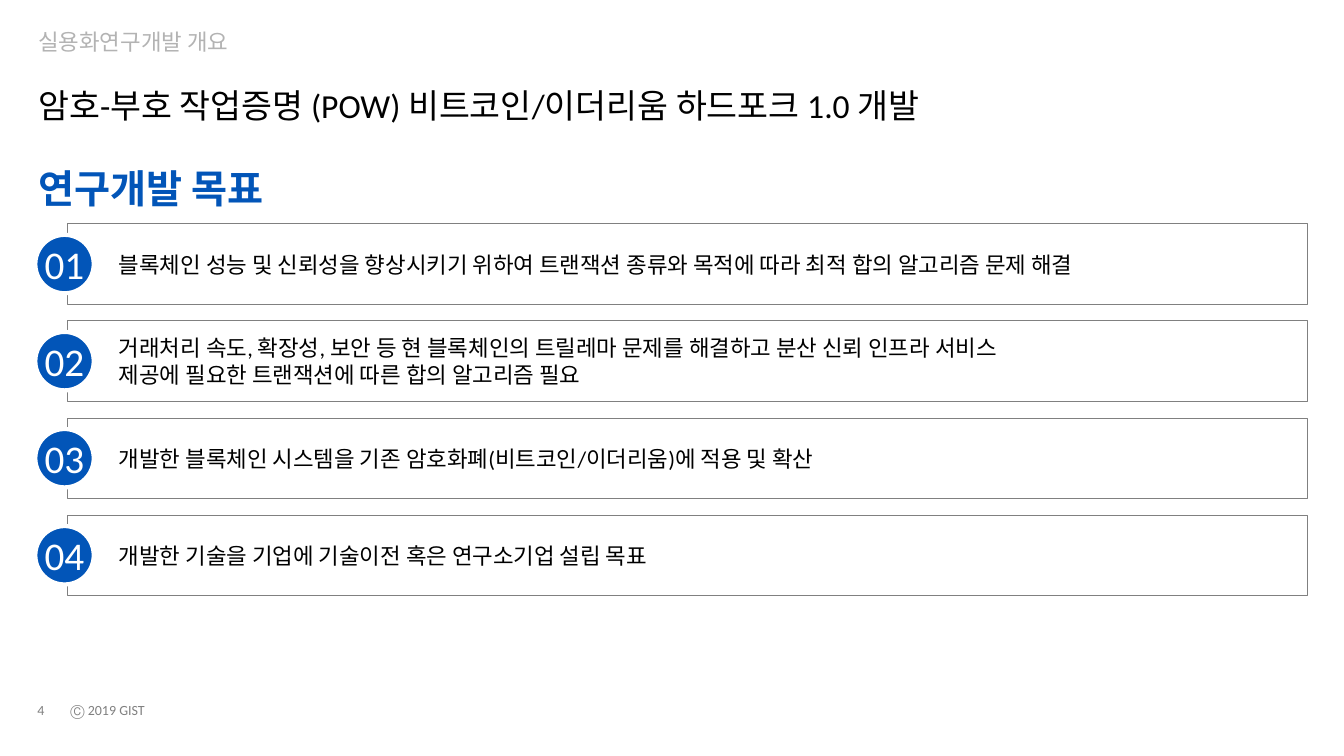
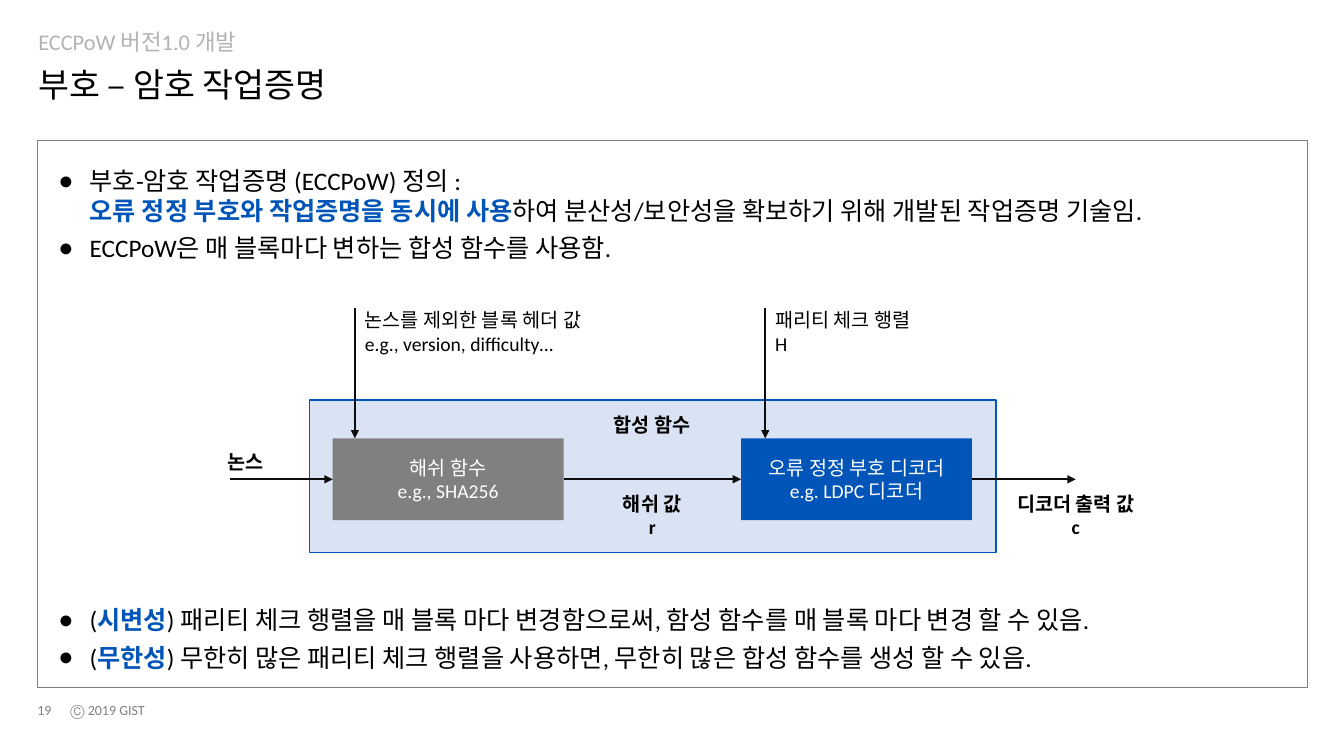
from copy import deepcopy

from pptx import Presentation
from pptx.dml.color import RGBColor
from pptx.enum.shapes import MSO_CONNECTOR as CONNECTOR, MSO_SHAPE as SHAPE
from pptx.enum.text import MSO_ANCHOR as ANCHOR, MSO_AUTO_SIZE as AUTO_SIZE, PP_ALIGN as ALIGN
from pptx.oxml.ns import qn
from pptx.util import Inches, Pt

# Shared style
FONT = "Calibri"
BLUE = RGBColor(0x02, 0x55, 0xB8)
PALE_BLUE = RGBColor(0xDA, 0xE3, 0xF3)
GRAY = RGBColor(0x80, 0x80, 0x80)
LIGHT_GRAY = RGBColor(0xB3, 0xB3, 0xB3)
BLACK = RGBColor(0, 0, 0)
ARROW_COLOR = RGBColor(0x0D, 0x0D, 0x0D)
WHITE = RGBColor(0xFF, 0xFF, 0xFF)
COPYRIGHT = "Ⓒ 2019 GIST"
INSETS = (0.1, 0.05, 0.1, 0.05)
TITLE_LEFT, CONTENT_WIDTH = 0.38, 12.6

# Content: research goals
GOALS_HEADING = "연구개발 목표"
GOALS = [
    "블록체인 성능 및 신뢰성을 향상시키기 위하여 트랜잭션 종류와 목적에 따라 최적 합의 알고리즘 문제 해결",
    "거래처리 속도, 확장성, 보안 등 현 블록체인의 트릴레마 문제를 해결하고 분산 신뢰 인프라 서비스\n"
    "제공에 필요한 트랜잭션에 따른 합의 알고리즘 필요",
    "개발한 블록체인 시스템을 기존 암호화폐(비트코인/이더리움)에 적용 및 확산",
    "개발한 기술을 기업에 기술이전 혹은 연구소기업 설립 목표",
]

# Content: proof of work; each point is a list of (text, emphasized) and its space before
POINTS = [
    ([("부호-암호 작업증명 (ECCPoW) 정의 :\n", False),
      ("오류 정정 부호와 작업증명을 동시에 사용", True),
      ("하여 분산성/보안성을 확보하기 위해 개발된 작업증명 기술임.", False)], 0),
    ([("ECCPoW은 매 블록마다 변하는 합성 함수를 사용함.", False)], 5),
    ([("(", False), ("시변성", True),
      (") 패리티 체크 행렬을 매 블록 마다 변경함으로써, 함성 함수를 매 블록 마다 변경 할 수 있음.", False)], 244),
    ([("(", False), ("무한성", True),
      (") 무한히 많은 패리티 체크 행렬을 사용하면, 무한히 많은 합성 함수를 생성 할 수 있음.", False)], 5),
]
HASH_TEXT = "해쉬 함수\ne.g., SHA256"
DECODER_TEXT = "오류 정정 부호 디코더\ne.g. LDPC 디코더"
# Text, box, bold, alignment
DIAGRAM_LABELS = [
    ("논스를 제외한 블록 헤더 값\ne.g., version, difficulty…", (3.52, 3.01, 2.6, 0.55), False, ALIGN.LEFT),
    ("패리티 체크 행렬\nH", (7.59, 3.01, 1.76, 0.55), False, ALIGN.LEFT),
    ("논스", (2.16, 4.41, 0.8, 0.32), True, ALIGN.LEFT),
    ("합성 함수", (5.87, 4.05, 1.2, 0.32), True, ALIGN.CENTER),
    ("해쉬 값\nr", (5.87, 4.83, 1.2, 0.55), True, ALIGN.CENTER),
    ("디코더 출력 값\nc", (9.87, 4.83, 1.6, 0.55), True, ALIGN.CENTER),
]
INPUT_ARROWS = [3.52, 7.59]


def place(target, box):
    target.left, target.top, target.width, target.height = map(Inches, box)


def format_frame(frame, insets=INSETS, anchor=ANCHOR.TOP):
    sides = ("margin_left", "margin_top", "margin_right", "margin_bottom")
    settings = dict(zip(sides, map(Inches, insets)))
    settings.update(word_wrap=True, auto_size=AUTO_SIZE.NONE, vertical_anchor=anchor)
    for key, value in settings.items():
        setattr(frame, key, value)


def add_run(paragraph, text, size, color, bold=False):
    for number, line in enumerate(text.split("\n")):
        if number:
            paragraph.add_line_break()
        if line:
            run = paragraph.add_run()
            run.text = line
            for key, value in dict(name=FONT, size=Pt(size), bold=bold).items():
                setattr(run.font, key, value)
            run.font.color.rgb = color


def match_breaks(paragraph):
    """Give line breaks the character size of the first run."""
    for line_break in paragraph._p.findall(qn("a:br")):
        line_break.append(deepcopy(paragraph.runs[0]._r.rPr))


def write(target, text, size, color, bold=False, align=ALIGN.LEFT, spacing=1.0, **frame_format):
    format_frame(target.text_frame, **frame_format)
    paragraph = target.text_frame.paragraphs[0]
    settings = dict(alignment=align, line_spacing=spacing, space_before=Pt(0))
    for key, value in settings.items():
        setattr(paragraph, key, value)
    add_run(paragraph, text, size, color, bold)
    match_breaks(paragraph)


def add_label(slide, box, *text_format, **options):
    write(slide.shapes.add_textbox(*map(Inches, box)), *text_format, **options)


def add_block(slide, kind, box, fill=None, line=None, weight=0.5):
    block = slide.shapes.add_shape(kind, *map(Inches, box))
    block.shadow.inherit = False
    if fill is None:
        block.fill.background()
    else:
        block.fill.solid()
        block.fill.fore_color.rgb = fill
    if line is None:
        block.line.fill.background()
    else:
        block.line.color.rgb = line
        block.line.width = Pt(weight)
    return block


def add_arrow(slide, start, end, source=None, target=None):
    arrow = slide.shapes.add_connector(CONNECTOR.STRAIGHT, *map(Inches, start + end))
    if source is not None:
        arrow.begin_connect(source, 3)
    if target is not None:
        arrow.end_connect(target, 1)
    arrow.line.color.rgb = ARROW_COLOR
    arrow.line.width = Pt(1.5)
    outline = arrow.line._get_or_add_ln()
    outline.append(outline.makeelement(qn("a:tailEnd"), {"type": "triangle"}))
    properties = arrow._element.spPr
    properties.append(properties.makeelement(qn("a:effectLst"), {}))


def add_page(prs, layout, number, section, title, title_top):
    """Section line, title, page number and copyright line."""
    slide = prs.slides.add_slide(prs.slide_layouts[layout])
    place(slide.shapes.title, (TITLE_LEFT, title_top, CONTENT_WIDTH, 0.46))
    write(slide.shapes.title, title, 24, BLACK, spacing=0.9, insets=(0, 0.05, 0.1, 0.05))
    section_line = slide.placeholders[1]
    place(section_line, (TITLE_LEFT, 0.26, CONTENT_WIDTH, 0.34))
    paragraph = section_line.text_frame.paragraphs[0]
    add_bullet(paragraph, None)
    write(section_line, section, 16, LIGHT_GRAY, spacing=0.9,
          insets=(0, 0.05, 0.08, 0.05), anchor=ANCHOR.BOTTOM)
    add_label(slide, (0.6, 6.91, 1.2, 0.27), COPYRIGHT, 10, GRAY, anchor=ANCHOR.MIDDLE)
    add_label(slide, (0.37, 6.92, 0.39, 0.24), str(number), 10, GRAY,
              insets=(0, 0, 0, 0), anchor=ANCHOR.MIDDLE)
    return slide


def add_bullet(paragraph, mark, indent=0):
    properties = paragraph._p.get_or_add_pPr()
    properties.set("marL", str(Inches(indent)))
    properties.set("indent", str(-Inches(indent)))
    tag, values = ("a:buChar", {"char": mark}) if mark else ("a:buNone", {})
    properties.append(properties.makeelement(qn(tag), values))


def build_goals(prs):
    slide = add_page(prs, 1, 4, "실용화연구개발 개요",
                     "암호-부호 작업증명 (POW) 비트코인/이더리움 하드포크 1.0 개발", 0.84)
    add_label(slide, (0.28, 1.58, 3, 0.57), GOALS_HEADING, 28, BLUE, bold=True)
    first_top, pitch, height, circle = 2.22, 0.963, 0.8, 0.58
    for index, goal in enumerate(GOALS):
        top = first_top + index * pitch
        panel = add_block(slide, SHAPE.RECTANGLE, (0.67, top, 12.3, height), line=GRAY)
        write(panel, goal, 16, BLACK, insets=(0.51, 0.05, 0.1, 0.05), anchor=ANCHOR.MIDDLE)
        badge_box = (0.35, top + (height - circle) / 2, circle, circle)
        badge = add_block(slide, SHAPE.OVAL, badge_box, BLUE, WHITE, 3)
        write(badge, f"{index + 1:02d}", 28, WHITE, align=ALIGN.CENTER,
              insets=(0, 0, 0, 0), anchor=ANCHOR.MIDDLE)


def write_points(body):
    place(body, (0.48, 1.59, 12.4, 5.18))
    format_frame(body.text_frame)
    for index, (parts, gap) in enumerate(POINTS):
        paragraph = body.text_frame.paragraphs[0] if not index else body.text_frame.add_paragraph()
        add_bullet(paragraph, "●", 0.31)
        paragraph.space_before = Pt(gap)
        for text, emphasized in parts:
            add_run(paragraph, text, 18, BLUE if emphasized else BLACK, emphasized)
        match_breaks(paragraph)


def build_proof_of_work(prs):
    slide = add_page(prs, 3, 19, "ECCPoW 버전1.0 개발", "부호 – 암호 작업증명", 0.63)
    add_block(slide, SHAPE.RECTANGLE, (0.37, 1.39, CONTENT_WIDTH, 5.43), line=GRAY)
    write_points(slide.placeholders[2])

    # Composite function with its two stages
    add_block(slide, SHAPE.RECTANGLE, (3.07, 3.97, 6.81, 1.51), PALE_BLUE, BLUE, 1)
    stage_top, stage_width, stage_height = 4.35, 2.29, 0.81
    stages = []
    for text, left, fill in [(HASH_TEXT, 3.3, GRAY), (DECODER_TEXT, 7.35, BLUE)]:
        stage = add_block(slide, SHAPE.RECTANGLE, (left, stage_top, stage_width, stage_height), fill)
        write(stage, text, 14, WHITE, align=ALIGN.CENTER, anchor=ANCHOR.MIDDLE)
        stages.append(stage)
    hash_stage, decoder_stage = stages

    # Flow from nonce to output, then the inputs from above
    middle = stage_top + stage_height / 2
    add_arrow(slide, (2.28, middle), (3.3, middle), target=hash_stage)
    add_arrow(slide, (5.59, middle), (7.35, middle), hash_stage, decoder_stage)
    add_arrow(slide, (9.64, middle), (10.67, middle), source=decoder_stage)
    for x in INPUT_ARROWS:
        add_arrow(slide, (x, 3.06), (x, stage_top))
    for text, box, bold, align in DIAGRAM_LABELS:
        add_label(slide, box, text, 14, BLACK, bold=bold, align=align)


def main():
    prs = Presentation()
    prs.slide_width, prs.slide_height = Inches(13.33), Inches(7.5)
    build_goals(prs)
    build_proof_of_work(prs)
    prs.save("out.pptx")


if __name__ == "__main__":
    main()
